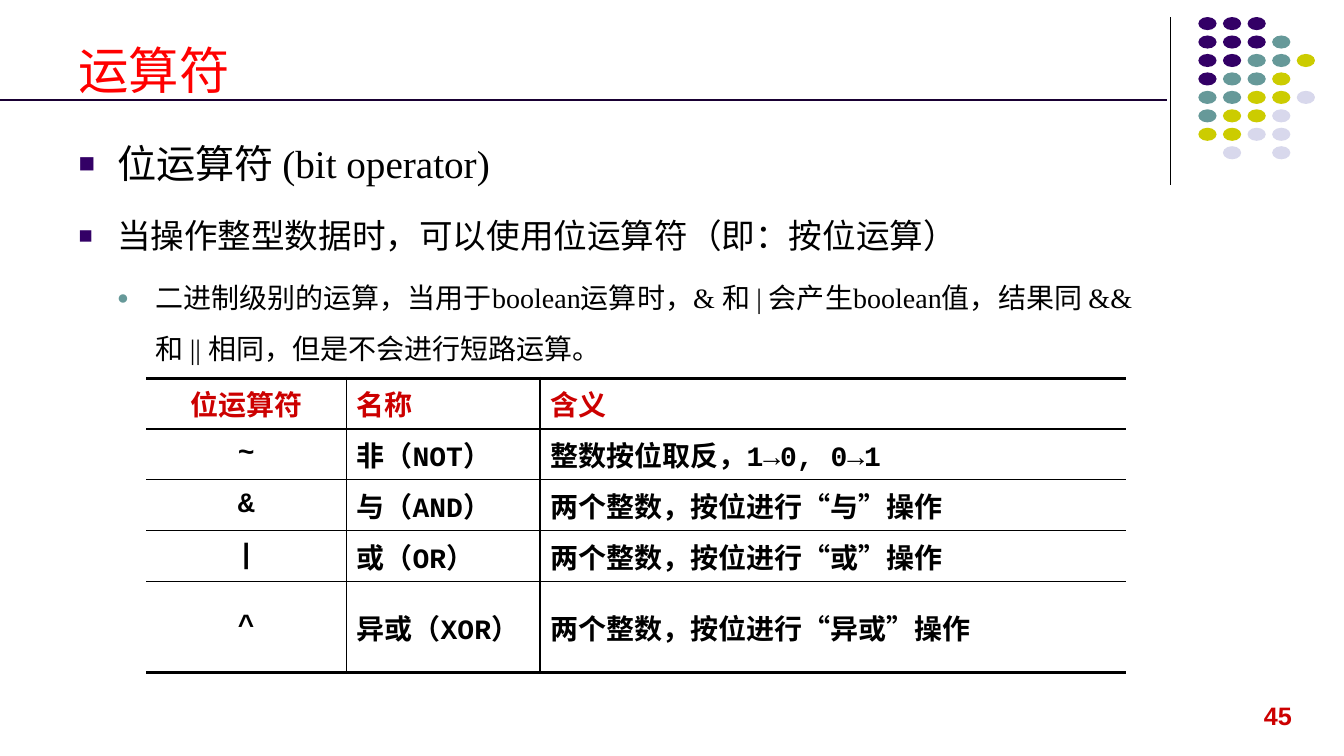
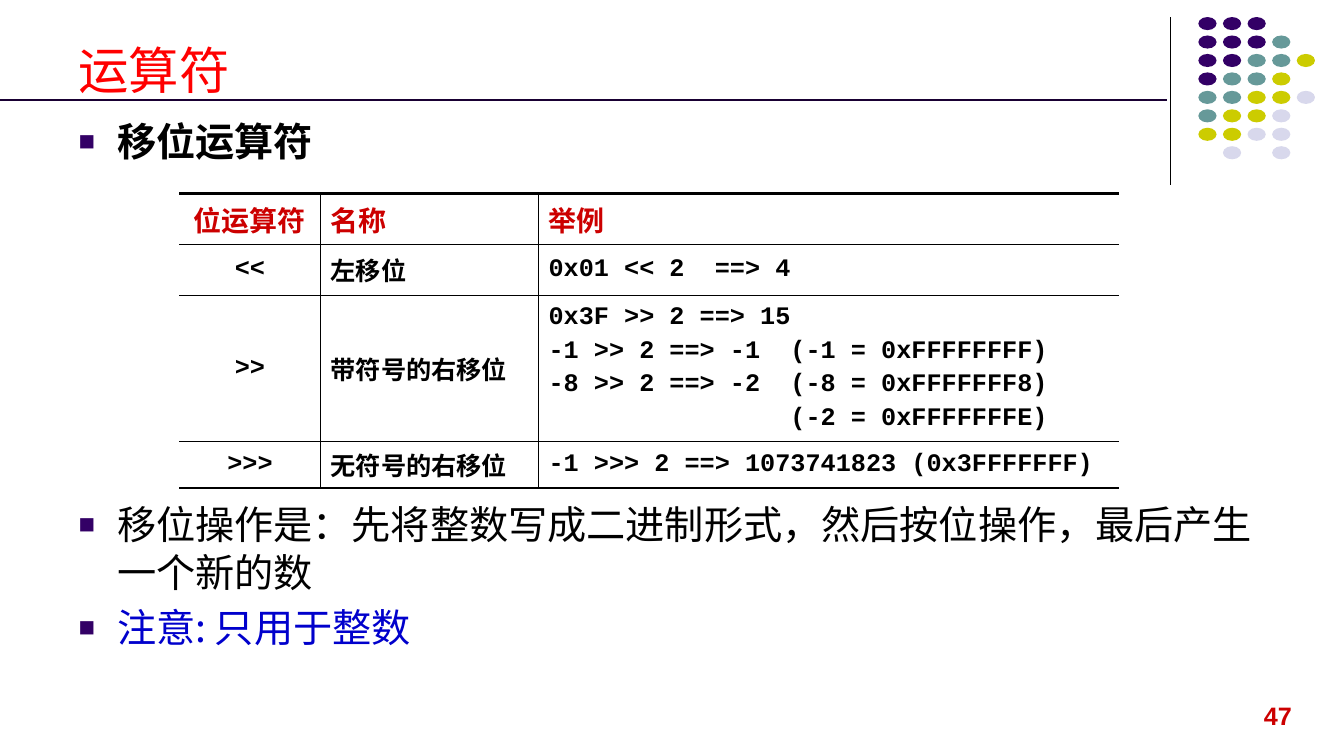
from lxml import etree
from pptx import Presentation
from pptx.dml.color import RGBColor
from pptx.enum.shapes import MSO_CONNECTOR, MSO_SHAPE
from pptx.enum.text import MSO_ANCHOR, PP_ALIGN
from pptx.oxml.ns import qn
from pptx.util import Cm, Pt

STRAIGHT = MSO_CONNECTOR.STRAIGHT
OVAL = MSO_SHAPE.OVAL
TOP, MIDDLE, BOTTOM = MSO_ANCHOR.TOP, MSO_ANCHOR.MIDDLE, MSO_ANCHOR.BOTTOM
LEFT, CENTER = PP_ALIGN.LEFT, PP_ALIGN.CENTER


class Theme:
    title, accent, text, note = "FF0000", "CC0000", "000000", "0000CC"
    rule, purple, teal, yellow, pale = "190033", "330066", "669999", "CCCC00", "D8D8EC"
    title_size, body, body_mid, body_small, number = 36, 28, 24, 20, 18
    cjk, sans, serif, mono = "Noto Sans CJK SC", "Arial", "Times New Roman", "Courier New"
    thin, thick = 1, 2.25


def write(tf, text, size=Theme.body, color=Theme.text, font=Theme.cjk, bold=False,
          align=LEFT, level=None, line=None, before=0):
    """Add a paragraph; level 0 or 1 gives it a bullet."""
    first = not tf.text
    p = tf.paragraphs[0] if first else tf.add_paragraph()
    if level is not None:
        bullet, bullet_color = [("■", Theme.purple), ("●", Theme.teal)][level]
        pPr = p._p.get_or_add_pPr()
        pPr.set("marL", str(Cm(0.97) * (level + 1)))
        pPr.set("indent", str(-Cm(0.97)))
        clr = etree.SubElement(pPr, qn("a:buClr"))
        etree.SubElement(clr, qn("a:srgbClr"), val=bullet_color)
        etree.SubElement(pPr, qn("a:buSzPct"), val="70000")
        etree.SubElement(pPr, qn("a:buFont"), typeface=Theme.sans)
        etree.SubElement(pPr, qn("a:buChar"), char=bullet)
    p.alignment = align
    if line:
        p.line_spacing = Pt(line)
    if not first:
        p.space_before = Pt(before)
    r = p.add_run()
    r.text = text
    r.font.size, r.font.bold, r.font.name = Pt(size), bold, font
    r.font.color.rgb = RGBColor.from_string(color)
    etree.SubElement(r._r.get_or_add_rPr(), qn("a:ea"), typeface=Theme.cjk)


def add_box(s, left, top, width, height, anchor=TOP, wrap=True):
    tf = s.shapes.add_textbox(Cm(left), Cm(top), Cm(width), Cm(height)).text_frame
    tf.word_wrap, tf.vertical_anchor = wrap, anchor
    return tf


# Shared decoration: rules as x1, y1, x2, y2, colour, width; dots as a grid
RULES = [(29.49, 0.43, 29.49, 4.65, Theme.text, 0.75),
         (0, 2.52, 29.41, 2.52, Theme.rule, 1.5)]
DOTS = ["PPP", "PPPT", "PPTTY", "PTTY", "TTYYL", "TYYL", "YYLL", " L L"]
DOT_COLORS = {"P": Theme.purple, "T": Theme.teal, "Y": Theme.yellow, "L": Theme.pale}

# Slide contents
SHIFT = dict(level=0, line=34, before=5.5)
SLIDES = [
    dict(
        number="45",
        boxes=[((1.73, 2.82, 27.69, 5.31), [
            ("位运算符 (bit operator)", dict(font=Theme.serif, level=0, line=50)),
            ("当操作整型数据时，可以使用位运算符（即：按位运算）",
             dict(size=Theme.body_mid, font=Theme.serif, level=0, line=43, before=6)),
            ("二进制级别的运算，当用于boolean运算时，& 和 | 会产生boolean值，"
             "结果同 && 和 || 相同，但是不会进行短路运算。",
             dict(size=Theme.body_small, font=Theme.serif, level=1, line=36, before=6)),
        ])],
        table=dict(
            left=3.68, top=9.53, size=20,
            cols=[5.05, 4.88, 14.76], rows=[1.28, 1.28, 1.28, 1.28, 2.3],
            cells=[["位运算符", "名称", "含义"],
                   ["~", "非（NOT）", "整数按位取反，1→0, 0→1"],
                   ["&", "与（AND）", "两个整数，按位进行“与”操作"],
                   ["|", "或（OR）", "两个整数，按位进行“或”操作"],
                   ["^", "异或（XOR）", "两个整数，按位进行“异或”操作"]]),
    ),
    dict(
        number="47",
        boxes=[
            ((1.73, 2.82, 30.48, 1.5),
             [("移位运算符", dict(SHIFT, font=Theme.sans, bold=True))]),
            ((1.73, 12.48, 30.48, 4.3), [
                ("移位操作是：先将整数写成二进制形式，然后按位操作，最后产生一个新的数", SHIFT),
                ("注意: 只用于整数", dict(SHIFT, color=Theme.note))]),
        ],
        table=dict(
            left=4.52, top=4.88, size=18,
            cols=[3.56, 5.49, 14.63], rows=[1.28, 1.28, 3.54, 1.17],
            cells=[["位运算符", "名称", "举例"],
                   ["<<", "左移位", "0x01 << 2  ==> 4"],
                   [">>", "带符号的右移位",
                    "0x3F >> 2 ==> 15\n"
                    "-1 >> 2 ==> -1  (-1 = 0xFFFFFFFF)\n"
                    "-8 >> 2 ==> -2  (-8 = 0xFFFFFFF8)\n"
                    "                (-2 = 0xFFFFFFFE)"],
                   [">>>", "无符号的右移位", "-1 >>> 2 ==> 1073741823 (0x3FFFFFFF)"]]),
    ),
]

prs = Presentation()
prs.slide_width, prs.slide_height = Cm(33.87), Cm(19.05)

for content in SLIDES:
    s = prs.slides.add_slide(prs.slide_layouts[6])

    # Rules
    for x1, y1, x2, y2, color, width in RULES:
        rule = s.shapes.add_connector(STRAIGHT, Cm(x1), Cm(y1), Cm(x2), Cm(y2))
        rule.line.color.rgb = RGBColor.from_string(color)
        rule.line.width = Pt(width)
        etree.SubElement(rule._element.spPr, qn("a:effectLst"))

    # Dot grid
    dots = s.shapes.add_group_shape()
    for row, marks in enumerate(DOTS):
        for col, mark in enumerate(marks):
            if mark == " ":
                continue
            sp = dots.shapes.add_shape(OVAL, Cm(30.2 + 0.62 * col), Cm(0.43 + 0.465 * row),
                                       Cm(0.46), Cm(0.33))
            sp.shadow.inherit = False
            sp.fill.solid()
            sp.fill.fore_color.rgb = RGBColor.from_string(DOT_COLORS[mark])
            sp.line.fill.background()

    # Title and page number
    write(add_box(s, 1.73, 0.63, 27.94, 2.01, anchor=BOTTOM), "运算符",
          size=Theme.title_size, color=Theme.title, font="Roboto")
    write(add_box(s, 31.6, 17.53, 1.3, 1.02, wrap=False), content["number"],
          size=Theme.number, color=Theme.accent, font=Theme.sans, bold=True)

    # Body text
    for place, paragraphs in content["boxes"]:
        tf = add_box(s, *place)
        for text, fmt in paragraphs:
            write(tf, text, **fmt)

    # Operator table
    t = content["table"]
    cols, rows = t["cols"], t["rows"]
    table = s.shapes.add_table(len(rows), len(cols), Cm(t["left"]), Cm(t["top"]),
                               Cm(sum(cols)), Cm(sum(rows))).table
    table.first_row = table.horz_banding = False
    for i, width in enumerate(cols):
        table.columns[i].width = Cm(width)
    for i, height in enumerate(rows):
        table.rows[i].height = Cm(height)
        for j, text in enumerate(t["cells"][i]):
            cell = table.cell(i, j)
            cell.vertical_anchor = MIDDLE
            header = i == 0
            for code_line in text.split("\n"):
                write(cell.text_frame, code_line, font=Theme.mono, bold=True,
                      size=20 if header else t["size"],
                      color=Theme.accent if header else Theme.text,
                      align=CENTER if j == 0 else LEFT, before=3.6)

            # Open sides, thick top and bottom, thin lines inside
            borders = {"lnL": Theme.thin if j else 0,
                       "lnR": Theme.thin if j < len(cols) - 1 else 0,
                       "lnT": Theme.thin if i else Theme.thick,
                       "lnB": Theme.thin if i < len(rows) - 1 else Theme.thick}
            tcPr = cell._tc.get_or_add_tcPr()
            for side, width in borders.items():
                ln = etree.SubElement(tcPr, qn("a:" + side), w=str(Pt(width)))
                if width:
                    fill = etree.SubElement(ln, qn("a:solidFill"))
                    etree.SubElement(fill, qn("a:srgbClr"), val=Theme.text)
                else:
                    etree.SubElement(ln, qn("a:noFill"))
            cell.fill.background()

prs.save("out.pptx")
